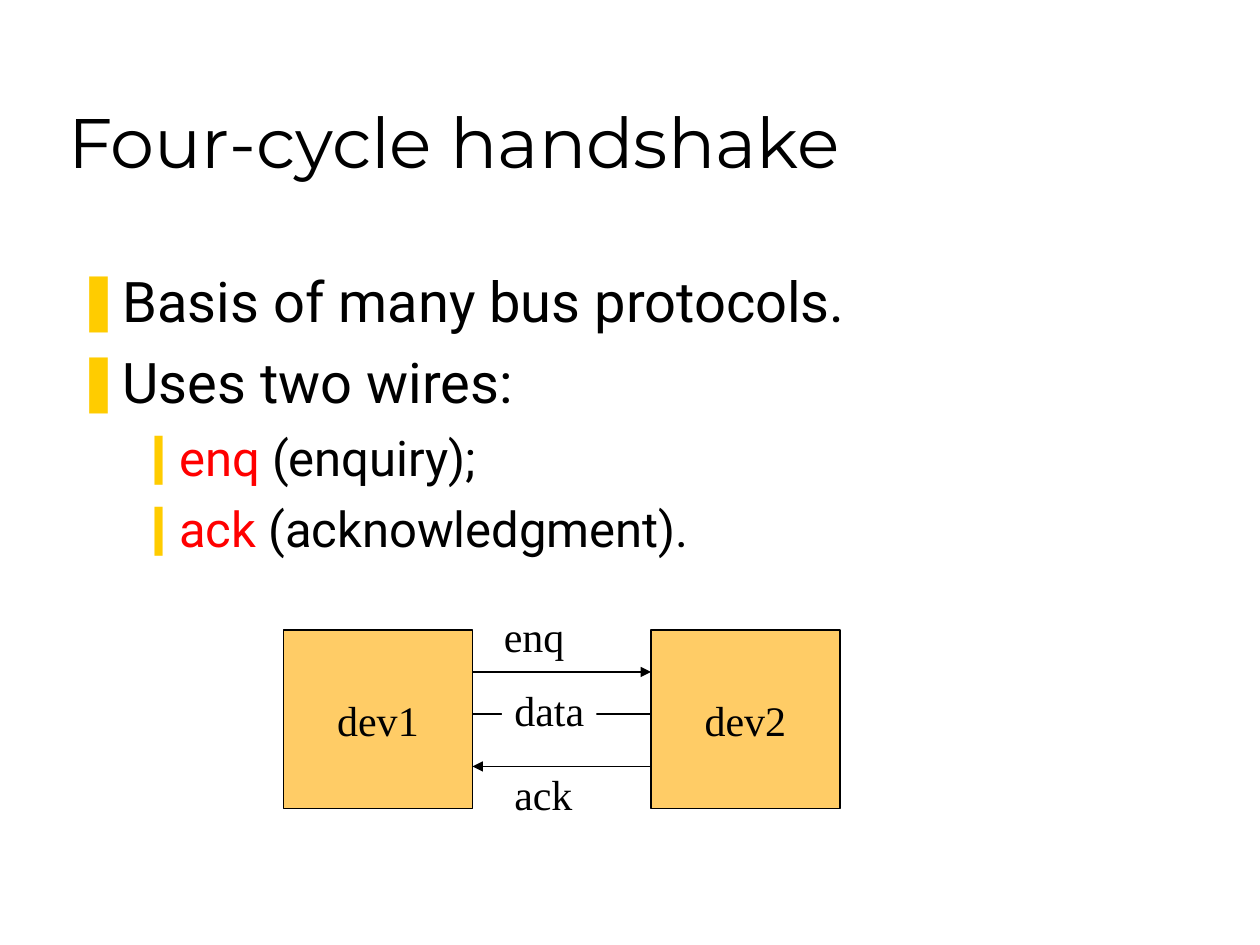
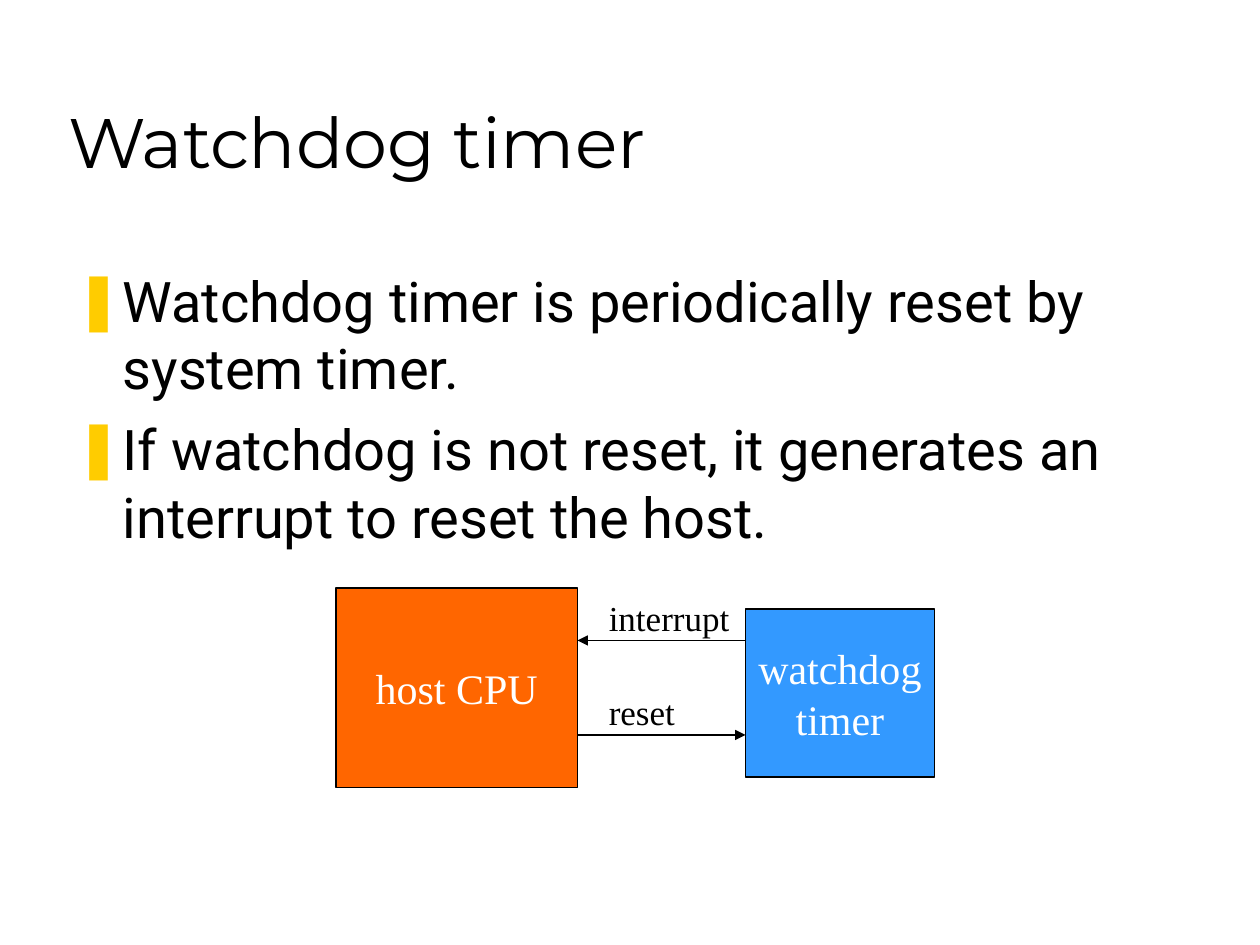
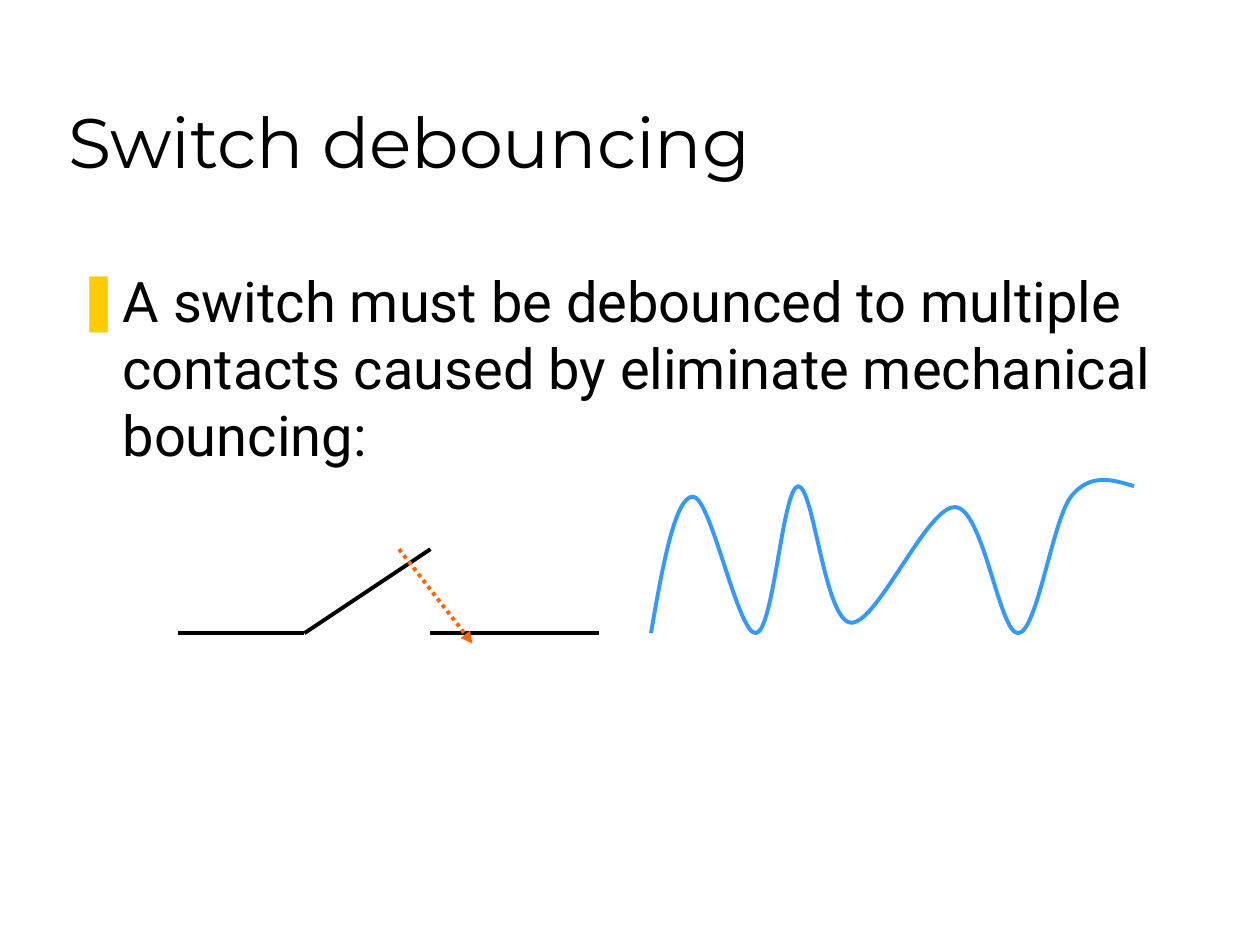
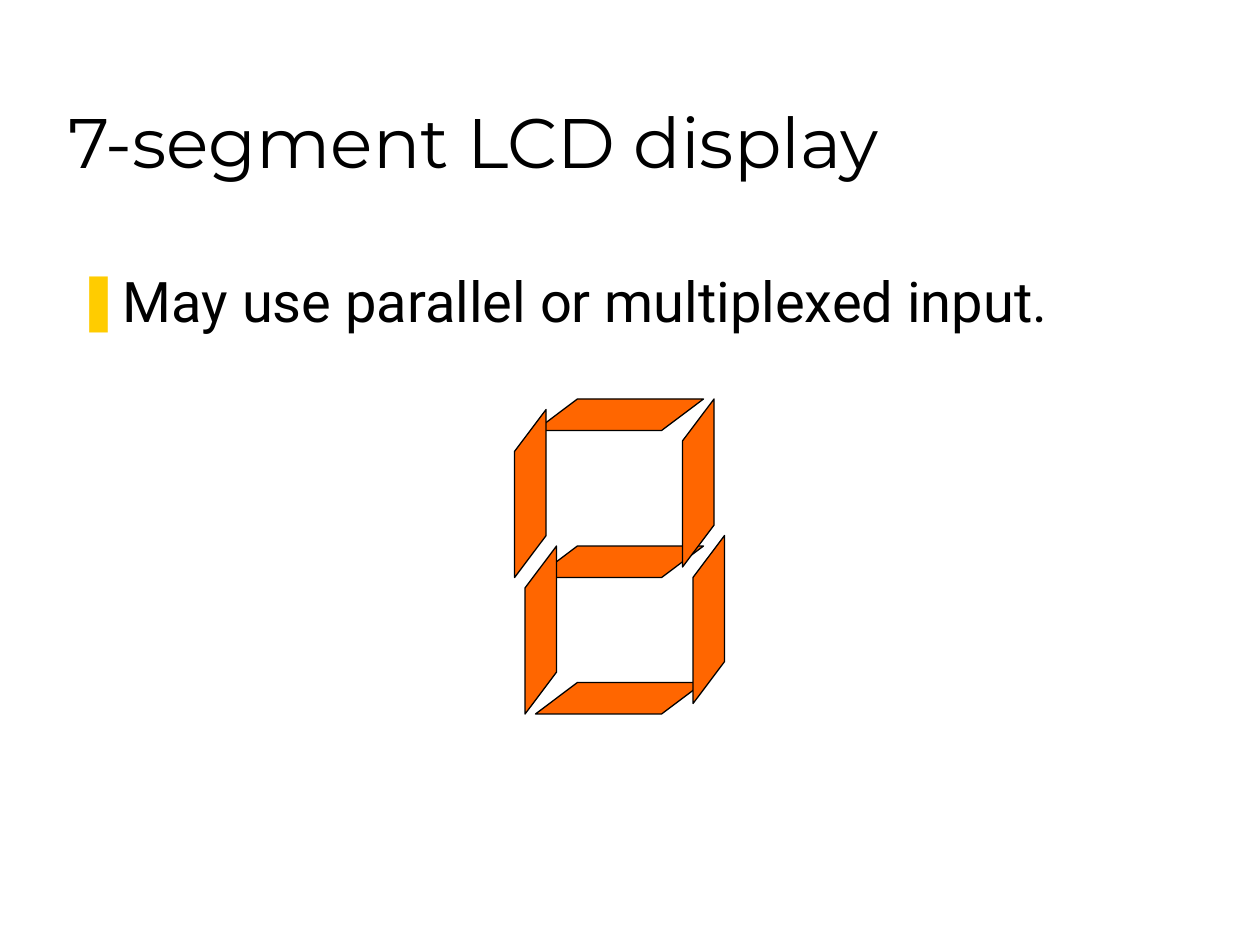
from dataclasses import dataclass
from typing import NamedTuple, Optional

from lxml.etree import SubElement
from pptx import Presentation
from pptx.dml.color import RGBColor as RGB
from pptx.enum.dml import MSO_LINE as Dash
from pptx.enum.shapes import MSO_CONNECTOR as Conn, MSO_SHAPE as Geom
from pptx.enum.text import MSO_ANCHOR as Anchor, MSO_AUTO_SIZE as Fit, PP_ALIGN as Align
from pptx.oxml.ns import qn
from pptx.util import Pt

PX = 7620


@dataclass(frozen=True)
class Theme:
    black: RGB = RGB(0, 0, 0)
    white: RGB = RGB(255, 255, 255)
    red: RGB = RGB(255, 0, 0)
    gold: RGB = RGB(0xFF, 0xCC, 0x00)
    sand: RGB = RGB(0xFF, 0xCC, 0x66)
    orange: RGB = RGB(0xFF, 0x66, 0x00)
    blue: RGB = RGB(0x33, 0x99, 0xFF)
    title_font: str = "Montserrat"
    body_font: str = "Roboto"
    diagram_font: str = "Times New Roman"
    title_size: int = 40
    diagram_size: int = 24
    small_size: int = 20
    thin: float = 0.75
    thick: float = 2.25


T = Theme()


class Level(NamedTuple):
    char: str
    size: int
    margin: int
    hang: int
    before: int


LEVELS = (Level("❚", 32, 45, 45, 8), Level("❙", 28, 98, 38, 7))


class Bullet(NamedTuple):
    text: str
    level: int = 0
    term: str = ""


class Box(NamedTuple):
    x: int
    y: int
    w: int
    h: int

    def emu(self) -> tuple:
        return tuple(v * PX for v in self)


class Block(NamedTuple):
    text: str
    box: Box
    fill: RGB
    color: RGB = T.black


class Label(NamedTuple):
    text: str
    box: Box
    size: int = T.diagram_size
    fill: Optional[RGB] = None


class Wire(NamedTuple):
    x1: int
    y1: int
    x2: int
    y2: int
    arrow: bool = False
    color: RGB = T.black
    width: float = T.thin
    dash: Optional[Dash] = None


TITLE_BOX = Box(53, 30, 1020, 150)
BODY_BOX = Box(60, 248, 1073, 547)


def add_run(p, text: str, *, font: str, size: int, color: RGB = T.black) -> None:
    r = p.add_run()
    r.text = text
    r.font.name = font
    r.font.size = Pt(size)
    r.font.color.rgb = color


def fill_frame(tf, text: str, *, anchor: Anchor = Anchor.TOP, align: Align = Align.LEFT,
               wrap: bool = False, fit: Fit = Fit.NONE, **fmt) -> None:
    tf.word_wrap = wrap
    tf.auto_size = fit
    tf.vertical_anchor = anchor
    for i, line in enumerate(text.split("\n")):
        p = tf.add_paragraph() if i else tf.paragraphs[0]
        p.alignment = align
        add_run(p, line, **fmt)


def add_bullet(p, item: Bullet, first: bool) -> None:
    lv = LEVELS[item.level]
    p.level = item.level
    pPr = p._p.get_or_add_pPr()
    pPr.set("marL", str(lv.margin * PX))
    pPr.set("indent", str(-lv.hang * PX))
    SubElement(SubElement(pPr, qn("a:buClr")), qn("a:srgbClr"), val=str(T.gold))
    SubElement(pPr, qn("a:buFont"), typeface=T.body_font)
    SubElement(pPr, qn("a:buChar"), char=lv.char)
    p.space_before = Pt(0 if first else lv.before)
    if item.term:
        add_run(p, item.term, font=T.body_font, size=lv.size, color=T.red)
    add_run(p, item.text, font=T.body_font, size=lv.size)


def add_slide(prs, title: str, *bullets: Bullet):
    s = prs.slides.add_slide(prs.slide_layouts[6])
    fill_frame(s.shapes.add_textbox(*TITLE_BOX.emu()).text_frame, title,
               anchor=Anchor.BOTTOM, wrap=True, font=T.title_font, size=T.title_size)
    tf = s.shapes.add_textbox(*BODY_BOX.emu()).text_frame
    tf.word_wrap = True
    for i, item in enumerate(bullets):
        add_bullet(tf.add_paragraph() if i else tf.paragraphs[0], item, i == 0)
    return s


def add_solid(s, geom: Geom, box: Box, fill: RGB):
    sp = s.shapes.add_shape(geom, *box.emu())
    sp.shadow.inherit = False
    sp.fill.solid()
    sp.fill.fore_color.rgb = fill
    sp.line.color.rgb = T.black
    sp.line.width = Pt(T.thin)
    return sp


def add_block(s, block: Block) -> None:
    sp = add_solid(s, Geom.RECTANGLE, block.box, block.fill)
    fill_frame(sp.text_frame, block.text, anchor=Anchor.MIDDLE, align=Align.CENTER,
               font=T.diagram_font, size=T.diagram_size, color=block.color)


def add_label(s, label: Label) -> None:
    sp = s.shapes.add_textbox(*label.box.emu())
    if label.fill is not None:
        sp.fill.solid()
        sp.fill.fore_color.rgb = label.fill
    sp.text_frame.margin_right = 0
    fill_frame(sp.text_frame, label.text, font=T.diagram_font, size=label.size, wrap=True)


def add_wire(s, wire: Wire) -> None:
    ends = (v * PX for v in wire[:4])
    cx = s.shapes.add_connector(Conn.STRAIGHT, *ends)
    cx.line.color.rgb = wire.color
    cx.line.width = Pt(wire.width)
    if wire.dash is not None:
        cx.line.dash_style = wire.dash
    if wire.arrow:
        SubElement(cx.line._get_or_add_ln(), qn("a:tailEnd"), type="triangle")
    SubElement(cx.element.spPr, qn("a:effectLst"))


def add_curve(s, points: list, color: RGB) -> None:
    fb = s.shapes.build_freeform(*points[0], scale=PX)
    fb.add_line_segments(points[1:], close=False)
    sp = fb.convert_to_shape()
    sp.shadow.inherit = False
    sp.fill.background()
    sp.line.color.rgb = color
    sp.line.width = Pt(T.thick)
    steps = list(sp.element.iter(qn("a:lnTo")))
    for i in range(0, len(steps), 3):
        outline = steps[i].getparent()
        bezier = SubElement(outline, qn("a:cubicBezTo"))
        for step in steps[i:i + 3]:
            bezier.append(step[0])
            outline.remove(step)


def add_segment(s, x: int, y: int, upright: bool = False) -> None:
    sp = add_solid(s, Geom.PARALLELOGRAM, Box(x, y, 160, 30), T.orange)
    sp.adjustments[0] = 1.33
    if upright:
        sp.rotation = 270
        sp.element.spPr.xfrm.set("flipH", "1")


def handshake(prs) -> None:
    s = add_slide(prs, "Four-cycle handshake",
                  Bullet("Basis of many bus protocols."),
                  Bullet("Uses two wires:"),
                  Bullet(" (enquiry);", 1, "enq"),
                  Bullet(" (acknowledgment).", 1, "ack"))
    for name, x in (("dev1", 270), ("dev2", 620)):
        add_block(s, Block(name, Box(x, 600, 180, 170), T.sand))
    for wire in (Wire(450, 640, 620, 640, True), Wire(620, 730, 450, 730, True),
                 Wire(450, 680, 620, 680)):
        add_wire(s, wire)
    for label in (Label("enq", Box(468, 576, 82, 60)), Label("ack", Box(478, 726, 79, 60)),
                  Label("data", Box(478, 646, 90, 60), fill=T.white)):
        add_label(s, label)


def watchdog(prs) -> None:
    s = add_slide(prs, "Watchdog timer",
                  Bullet("Watchdog timer is periodically reset by system timer."),
                  Bullet("If watchdog is not reset, it generates an interrupt to reset the host."))
    add_block(s, Block("host CPU", Box(320, 560, 230, 190), T.orange, T.white))
    add_block(s, Block("watchdog\ntimer", Box(710, 580, 180, 160), T.blue, T.white))
    add_wire(s, Wire(550, 700, 710, 700, True))
    add_wire(s, Wire(710, 610, 550, 610, True))
    add_label(s, Label("interrupt", Box(568, 562, 139, 53), T.small_size))
    add_label(s, Label("reset", Box(568, 652, 86, 53), T.small_size))


def debouncing(prs) -> None:
    s = add_slide(prs, "Switch debouncing",
                  Bullet("A switch must be debounced to multiple contacts "
                         "caused by eliminate mechanical bouncing:"))
    closed, opened = 603, 523
    for ends in ((170, closed, 290, closed), (290, closed, 410, opened),
                 (410, closed, 570, closed)):
        add_wire(s, Wire(*ends, width=T.thick))
    add_wire(s, Wire(380, opened, 450, 613, True, T.orange, T.thick, Dash.ROUND_DOT))
    add_curve(s, [(620, 603),
                  (631, 539), (643, 473), (660, 473),
                  (677, 473), (703, 605), (720, 603),
                  (737, 601), (745, 466), (760, 463),
                  (775, 462), (785, 590), (810, 593),
                  (835, 596), (883, 481), (910, 483),
                  (937, 485), (952, 605), (970, 603),
                  (988, 601), (1002, 497), (1020, 473),
                  (1038, 450), (1060, 457), (1080, 463)], T.blue)


def lcd_display(prs) -> None:
    s = add_slide(prs, "7-segment LCD display",
                  Bullet("May use parallel or multiplexed input."))
    for y in (380, 520, 650):
        add_segment(s, 510, y)
    for x, y in ((585, 445), (425, 455)):
        add_segment(s, x + 10, y + 130, upright=True)
        add_segment(s, x, y, upright=True)


def main() -> None:
    prs = Presentation()
    prs.slide_width = 1200 * PX
    prs.slide_height = 900 * PX
    for build in (handshake, watchdog, debouncing, lcd_display):
        build(prs)
    prs.save("out.pptx")


if __name__ == "__main__":
    main()
